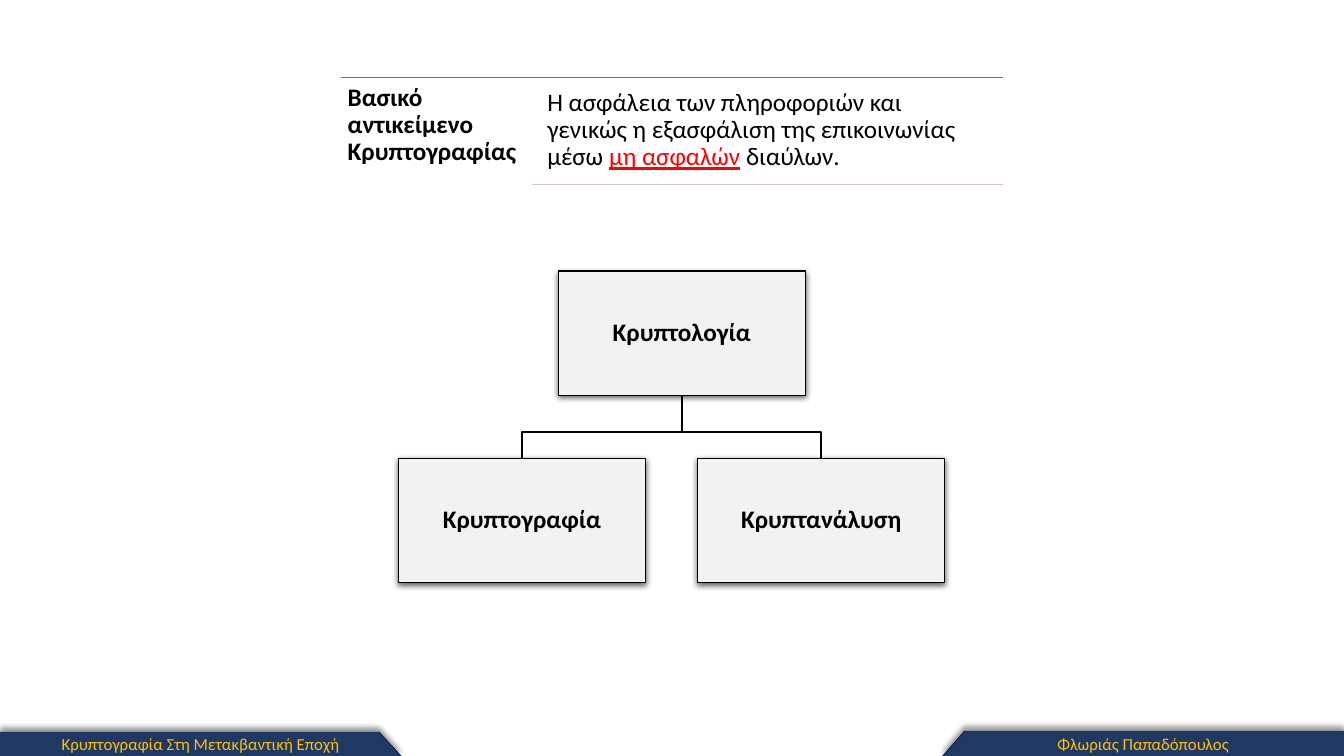
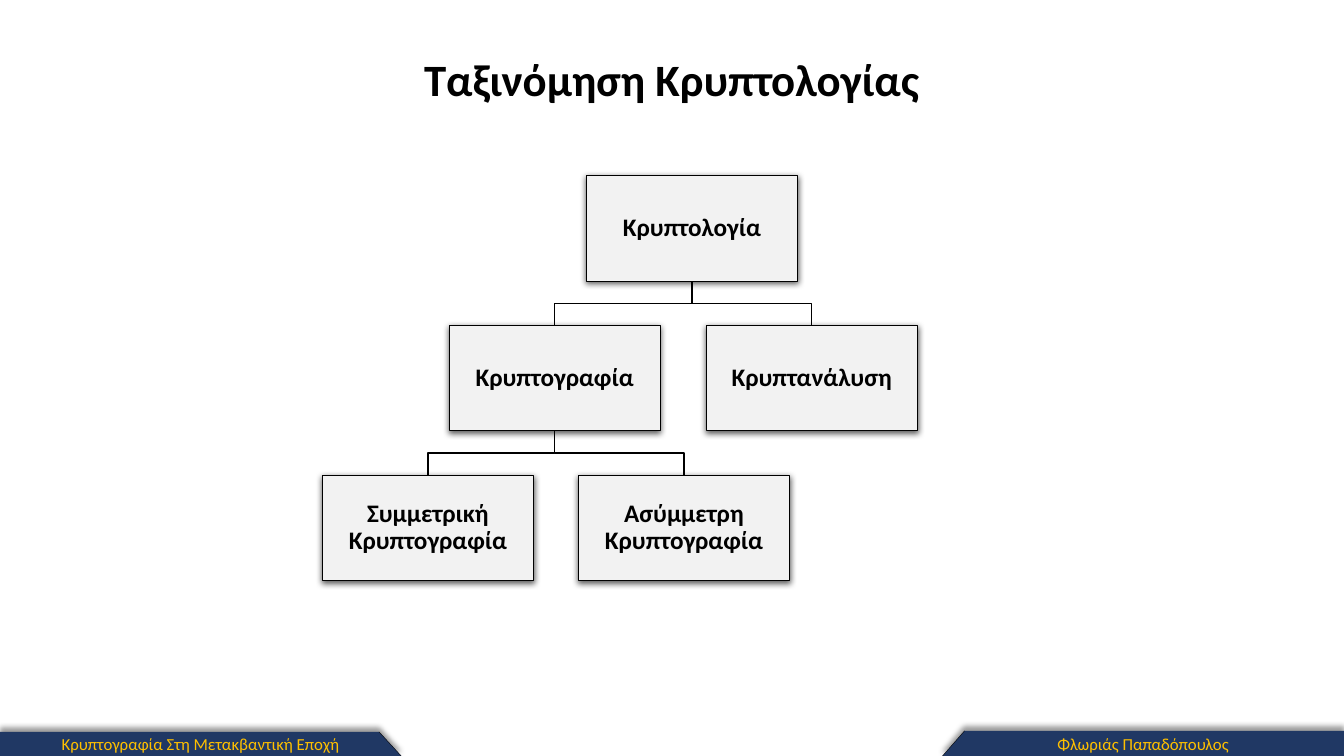
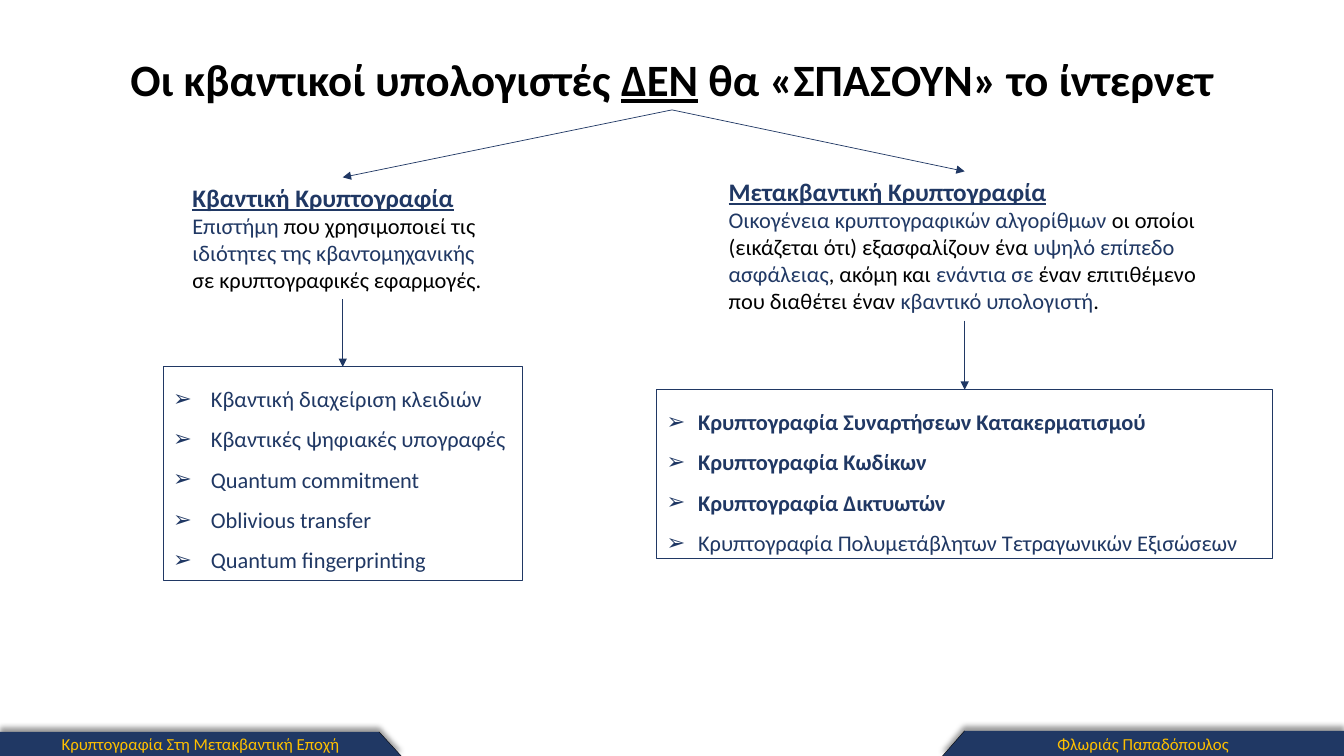
from dataclasses import dataclass
from itertools import cycle

from lxml import etree
from pptx import Presentation
from pptx import util as u
from pptx.dml.color import RGBColor
from pptx.enum import shapes, text
from pptx.oxml.ns import qn

COLORS = {
    "navy": "203864", "gold": "FFC000", "black": "000000", "red": "FF0000",
    "node": "F2F2F2", "blue": "4472C4", "pale": "C1C9E4",
}
FONT = "Calibri"
WIDTH, HEIGHT = 960, 540
LEFT, CENTER = text.PP_ALIGN.LEFT, text.PP_ALIGN.CENTER
TOP, MIDDLE = text.MSO_ANCHOR.TOP, text.MSO_ANCHOR.MIDDLE


@dataclass
class Span:
    words: str
    size: float = 18
    color: str = "black"
    bold: bool = False
    underline: bool = False


def rgb(name):
    return RGBColor.from_string(COLORS[name])


def add_xml(parent, tag, **attributes):
    return etree.SubElement(parent, qn(tag), attributes)


class Pages:
    """Holds the deck, its style and the slide being drawn."""

    def __init__(self):
        self.deck = Presentation()
        self.deck.slide_width, self.deck.slide_height = u.Pt(WIDTH), u.Pt(HEIGHT)
        self.slide = None

    def start(self, title=None):
        layout = self.deck.slide_layouts[5 if title else 6]
        self.slide = self.deck.slides.add_slide(layout)
        if title:
            box = self.slide.shapes.title
            box.left, box.top, box.width, box.height = map(u.Pt, (48, 33, WIDTH - 96, 46))
            self.set_text(box, [title], CENTER, MIDDLE)
        self.footer()

    def footer(self):
        tabs = [
            ("Κρυπτογραφία Στη Μετακβαντική Εποχή", 0, 270.7, 286.6, 522.7),
            ("Φλωριάς Παπαδόπουλος", WIDTH, 689, 673.2, 522),
        ]
        for words, side, upper, lower, top in tabs:
            corners = [(side, top), (upper, top), (lower, HEIGHT), (side, HEIGHT)]
            tab = self.outline(corners, closed=True)
            self.paint(tab, "navy")
            self.cast_shadow(tab, 40, 4, 3, 270)
            self.set_text(tab, [[Span(words, 12, "gold")]], CENTER, MIDDLE)
            self.line(corners[1], corners[2], "black", 0.25)

    def paint(self, shape, fill=None, line=None, weight=0.75):
        shape.shadow.inherit = False
        if fill:
            shape.fill.solid()
            shape.fill.fore_color.rgb = rgb(fill)
        else:
            shape.fill.background()
        if line:
            shape.line.color.rgb = rgb(line)
            shape.line.width = u.Pt(weight)
        else:
            shape.line.fill.background()

    def cast_shadow(self, shape, opacity, blur, distance, angle):
        effects = shape.element.spPr.find(qn("a:effectLst"))
        shadow = add_xml(effects, "a:outerShdw", blurRad=str(u.Pt(blur)),
                         dist=str(u.Pt(distance)), dir=str(angle * 60000),
                         algn="ctr", rotWithShape="0")
        color = add_xml(shadow, "a:srgbClr", val=COLORS["black"])
        add_xml(color, "a:alpha", val=str(opacity * 1000))

    def set_text(self, shape, paras, align=LEFT, anchor=TOP, insets=(7.2, 3.6),
                 spacing=1.0, bullet_indent=0):
        """Fill a shape with paragraphs, each a list of spans."""
        frame = shape.text_frame
        frame.word_wrap = True
        frame.auto_size = text.MSO_AUTO_SIZE.NONE
        frame.vertical_anchor = anchor
        frame.margin_left = frame.margin_right = u.Pt(insets[0])
        frame.margin_top = frame.margin_bottom = u.Pt(insets[1])
        for index, spans in enumerate(paras):
            para = frame.add_paragraph() if index else frame.paragraphs[0]
            para.alignment = align
            para.line_spacing = spacing
            if bullet_indent:
                properties = para._p.get_or_add_pPr()
                properties.set("marL", str(u.Pt(bullet_indent)))
                properties.set("indent", str(-u.Pt(bullet_indent)))
                add_xml(properties, "a:buFont", typeface="Arial")
                add_xml(properties, "a:buChar", char="➢")
            for span in spans:
                run = para.add_run()
                run.text = span.words
                font = run.font
                font.name, font.size = FONT, u.Pt(span.size)
                font.bold, font.underline = span.bold, span.underline
                font.color.rgb = rgb(span.color)

    def text_box(self, place, paras, **style):
        box = self.slide.shapes.add_textbox(*map(u.Pt, place))
        self.set_text(box, paras, **style)

    def rectangle(self, place, fill=None, line="black"):
        box = self.slide.shapes.add_shape(shapes.MSO_SHAPE.RECTANGLE, *map(u.Pt, place))
        self.paint(box, fill, line)
        return box

    def outline(self, points, closed=False):
        first, *rest = [(u.Pt(x), u.Pt(y)) for x, y in points]
        builder = self.slide.shapes.build_freeform(*first)
        builder.add_line_segments(rest, close=closed)
        return builder.convert_to_shape()

    def line(self, start, end, color, weight, arrow=False):
        ends = map(u.Pt, (*start, *end))
        connector = self.slide.shapes.add_connector(shapes.MSO_CONNECTOR.STRAIGHT, *ends)
        connector.line.color.rgb = rgb(color)
        connector.line.width = u.Pt(weight)
        properties = connector.element.spPr
        if arrow:
            add_xml(properties.find(qn("a:ln")), "a:tailEnd", type="triangle")
        add_xml(properties, "a:effectLst")

    def tree(self, size, bend, nodes, links):
        """Draw boxes given by centre x and top; links turn `bend` above the child."""
        width, height = size
        for parent, child in links:
            (parent_x, parent_top), (child_x, child_top) = nodes[parent], nodes[child]
            turn = child_top - bend
            branch = self.outline([(parent_x, parent_top + height), (parent_x, turn),
                                   (child_x, turn), (child_x, child_top)])
            self.paint(branch, line="black", weight=1)
        for name, (center, top) in nodes.items():
            box = self.rectangle((center - width / 2, top, width, height), "node")
            self.cast_shadow(box, 63, 4.5, 1.5, 90)
            self.set_text(box, [[Span(name, bold=True)]], CENTER, MIDDLE, (0.9, 0.9), 0.9)

    def branch_column(self, center, heading, phrases, text_area, items, list_area, indent):
        """Arrow from the title to a definition, then to a boxed list below it."""
        text_top, text_width, text_height = text_area
        list_top, list_width, list_height = list_area
        self.line((WIDTH / 2, 78.5), (center, text_top), "navy", 0.5, arrow=True)
        definition = [Span(phrase, 16, color)
                      for phrase, color in zip(phrases, cycle(("navy", "black")))]
        self.text_box((center - text_width / 2, text_top, text_width, text_height),
                      [[Span(heading, 18, "navy", True, True)], definition])
        self.line((center, text_top + text_height), (center, list_top), "navy", 0.5, arrow=True)
        box = self.rectangle((center - list_width / 2, list_top, list_width, list_height),
                             line="navy")
        self.set_text(box, [[Span(item, 16, "navy", bold)] for item, bold in items],
                      spacing=1.5, bullet_indent=indent)


def subject_page(pages):
    pages.start()
    left, middle, right, top, bottom = 243.4, 380.2, 716.4, 55.4, 131.8
    pages.line((left, top), (right, top), "blue", 1)
    pages.line((middle, bottom), (right, bottom), "pale", 1)
    style = {"insets": (5, 5), "spacing": 0.9}
    pages.text_box((left, top, middle - left, 80),
                   [[Span("Βασικό αντικείμενο Κρυπτογραφίας", bold=True)]], **style)
    pages.text_box((386, 59, 315.4, 72.7), [[
        Span("Η ασφάλεια των πληροφοριών και γενικώς η εξασφάλιση της επικοινωνίας μέσω "),
        Span("μη ασφαλών", color="red", underline=True),
        Span(" διαύλων."),
    ]], **style)
    pages.tree((176.8, 88.6), 18.7, {
        "Κρυπτολογία": (487, 193.6),
        "Κρυπτογραφία": (372.8, 327.4),
        "Κρυπτανάλυση": (586.6, 327.4),
    }, [("Κρυπτολογία", "Κρυπτογραφία"), ("Κρυπτολογία", "Κρυπτανάλυση")])


def taxonomy_page(pages):
    pages.start([Span("Ταξινόμηση Κρυπτολογίας", 32, bold=True)])
    first, second, third = (125.4 + 107 * level for level in range(3))
    symmetric, asymmetric = "Συμμετρική Κρυπτογραφία", "Ασύμμετρη Κρυπτογραφία"
    pages.tree((150.8, 75.4), 15.8, {
        "Κρυπτολογία": (494.3, first),
        "Κρυπτογραφία": (396.2, second),
        "Κρυπτανάλυση": (579.8, second),
        symmetric: (305.7, third),
        asymmetric: (488.6, third),
    }, [("Κρυπτολογία", "Κρυπτογραφία"), ("Κρυπτολογία", "Κρυπτανάλυση"),
        ("Κρυπτογραφία", symmetric), ("Κρυπτογραφία", asymmetric)])


def internet_page(pages):
    pages.start([
        Span("Οι κβαντικοί υπολογιστές ", 32, bold=True),
        Span("ΔΕΝ", 32, bold=True, underline=True),
        Span(" θα «ΣΠΑΣΟΥΝ» το ίντερνετ", 32, bold=True),
    ])
    pages.branch_column(
        244.8, "Κβαντική Κρυπτογραφία",
        ["Επιστήμη", " που χρησιμοποιεί τις ", "ιδιότητες της κβαντομηχανικής",
         " σε κρυπτογραφικές εφαρμογές."],
        (126.7, 229, 87.1),
        [("Κβαντική διαχείριση κλειδιών", False),
         ("Κβαντικές ψηφιακές υπογραφές", False),
         ("Quantum commitment", False),
         ("Oblivious transfer", False),
         ("Quantum fingerprinting", False)],
        (262.1, 256.4, 152.6), 27)
    pages.branch_column(
        689.1, "Μετακβαντική Κρυπτογραφία",
        ["Οικογένεια κρυπτογραφικών αλγορίθμων ",
         "οι οποίοι (εικάζεται ότι) εξασφαλίζουν ένα ", "υψηλό επίπεδο ασφάλειας",
         ", ακόμη και ", "ενάντια σε", " έναν επιτιθέμενο που διαθέτει έναν ",
         "κβαντικό υπολογιστή", "."],
        (122.4, 351.4, 106.6),
        [("Κρυπτογραφία Συναρτήσεων Κατακερματισμού", True),
         ("Κρυπτογραφία Κωδίκων", True),
         ("Κρυπτογραφία Δικτυωτών", True),
         ("Κρυπτογραφία Πολυμετάβλητων Τετραγωνικών Εξισώσεων", False)],
        (278.4, 440, 120.4), 22.5)


def main():
    pages = Pages()
    subject_page(pages)
    taxonomy_page(pages)
    internet_page(pages)
    pages.deck.save("out.pptx")


if __name__ == "__main__":
    main()
